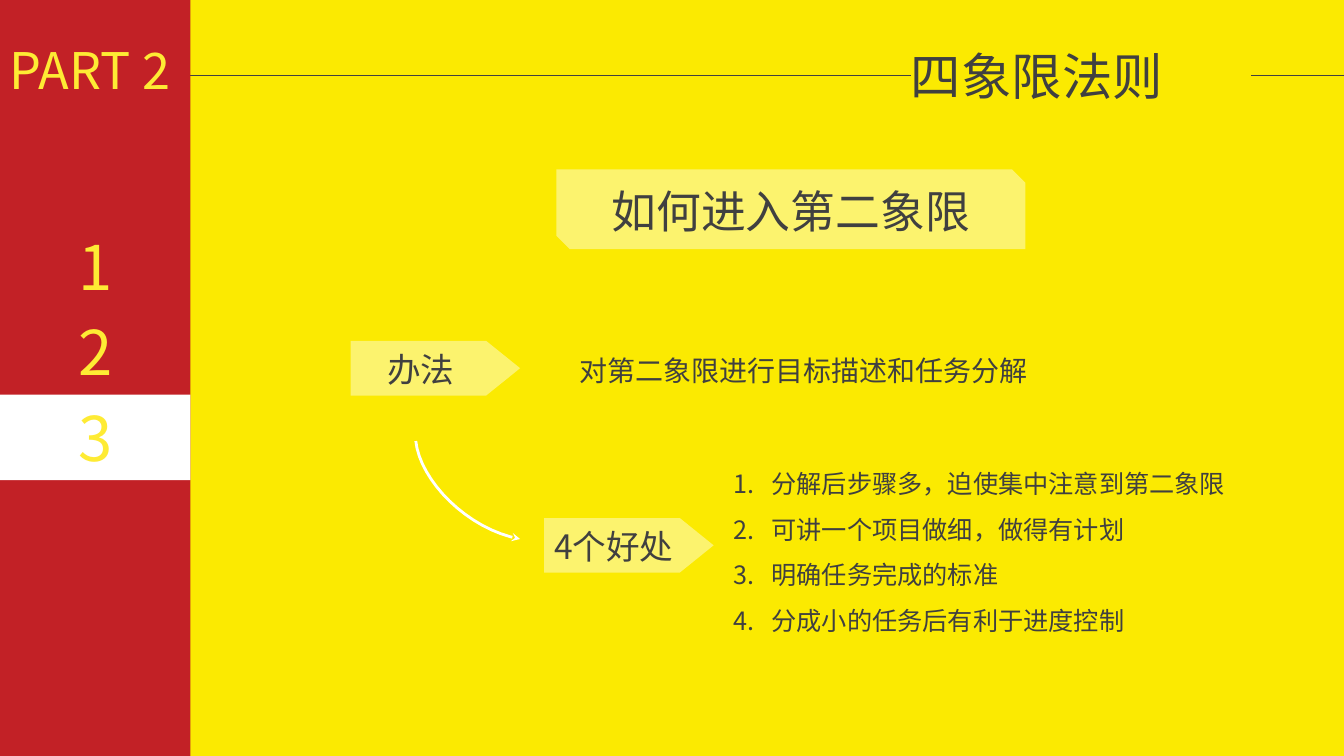
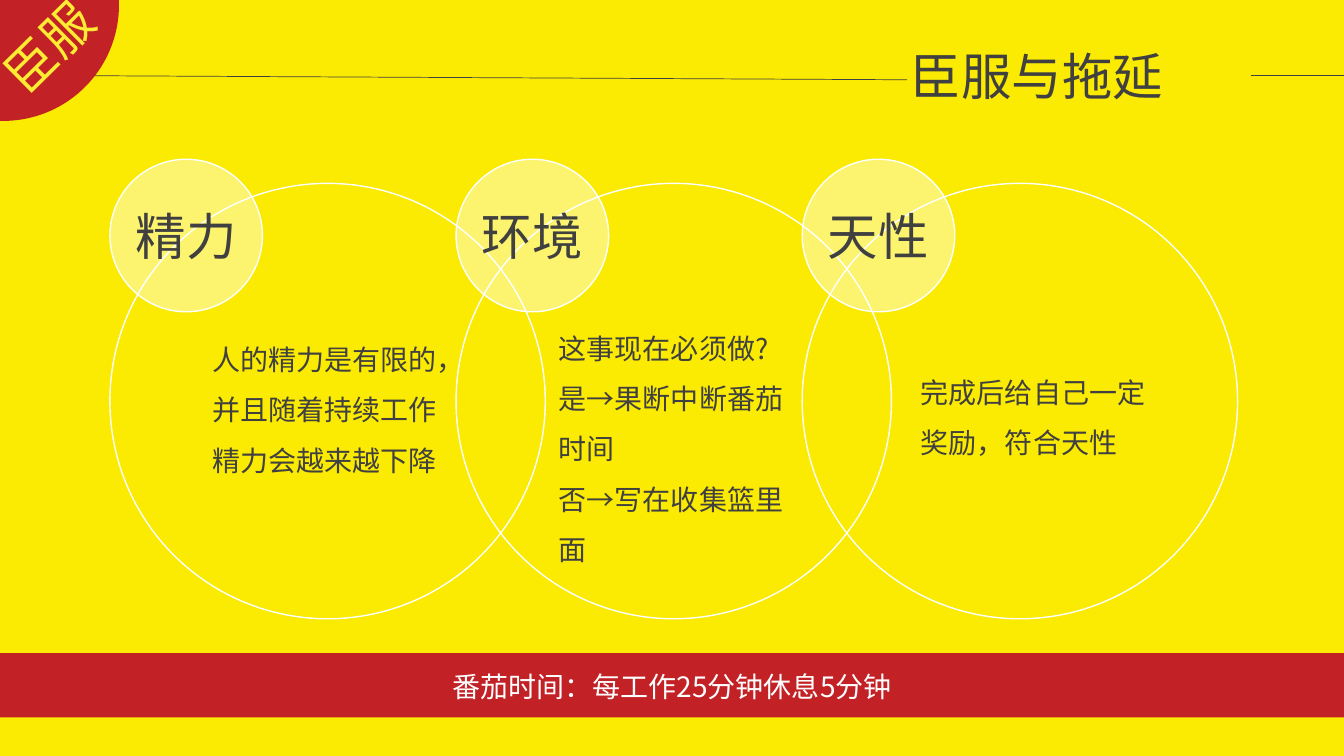
from dataclasses import dataclass

import lxml.etree
import pptx
import pptx.dml.color
import pptx.enum.shapes
import pptx.enum.text
import pptx.oxml.ns
import pptx.util

Pt = pptx.util.Pt
SHAPE = pptx.enum.shapes.MSO_SHAPE
ALIGN = pptx.enum.text.PP_ALIGN


@dataclass(frozen=True)
class Theme:
    """Colours, font and type sizes shared by the slides."""

    yellow: str = "FBEA01"
    lemon: str = "FEEB34"
    red: str = "C22126"
    white: str = "FFFFFF"
    ink: str = "404040"
    font: str = "Noto Sans CJK SC"
    veil: int = 43
    number: int = 44
    title: int = 36
    heading: int = 32
    label: int = 24
    body: int = 20
    points: int = 18


THEME = Theme()
WIDTH, HEIGHT = 960, 540
RULE_Y = 54


def rgb(code):
    """Turn a hex code into a colour."""
    return pptx.dml.color.RGBColor.from_string(code)


def assign(target, values):
    """Set each named attribute on the target."""
    for name, value in values.items():
        setattr(target, name, value)


def child(parent, tag, **attributes):
    """Append a DrawingML element to the parent."""
    return lxml.etree.SubElement(parent, pptx.oxml.ns.qn(tag), attributes)


def write(frame, lines, size, color, align=ALIGN.LEFT, spacing=1.0, numbered=False):
    """Fill a text frame with one paragraph per line."""
    assign(frame, {"word_wrap": True, "vertical_anchor": pptx.enum.text.MSO_ANCHOR.TOP})
    for index, line in enumerate(lines):
        paragraph = frame.add_paragraph() if index else frame.paragraphs[0]
        if numbered:
            properties = paragraph._p.get_or_add_pPr()
            properties.set("marL", str(Pt(27)))
            properties.set("indent", str(-Pt(27)))
            child(properties, "a:buFont", typeface=THEME.font)
            child(properties, "a:buAutoNum", type="arabicPeriod")
        assign(paragraph, {"alignment": align, "line_spacing": spacing})
        run = paragraph.add_run()
        run.text = line
        assign(run.font, {"size": Pt(size), "name": THEME.font})
        run.font.color.rgb = rgb(color)
        child(run.font._element, "a:ea", typeface=THEME.font)


def text(slide, box, lines, size, color=THEME.ink, **style):
    """Place a text box and write its lines."""
    caption = slide.shapes.add_textbox(*map(Pt, box))
    write(caption.text_frame, lines, size, color, **style)
    return caption


def shape(slide, kind, box, fill=None, opacity=None, outline=None):
    """Place a flat preset shape."""
    figure = slide.shapes.add_shape(kind, *map(Pt, box))
    figure.shadow.inherit = False
    if fill:
        figure.fill.solid()
        figure.fill.fore_color.rgb = rgb(fill)
    else:
        figure.fill.background()
    if opacity:
        tint = figure.element.spPr.find(".//" + pptx.oxml.ns.qn("a:srgbClr"))
        child(tint, "a:alpha", val=str(opacity * 1000))
    if outline:
        assign(figure.line, {"width": Pt(1)})
        figure.line.color.rgb = rgb(outline)
    else:
        figure.line.fill.background()
    return figure


def rule(slide, start, end):
    """Draw a thin line between two points."""
    line = slide.shapes.add_connector(
        pptx.enum.shapes.MSO_CONNECTOR.STRAIGHT, *map(Pt, (*start, *end)))
    line.line.width = Pt(0.5)
    line.line.color.rgb = rgb(THEME.ink)
    child(line.element.spPr, "a:effectLst")


def titled_slide(deck, title, start, end):
    """Add a yellow slide with its title between two rules."""
    slide = deck.slides.add_slide(deck.slide_layouts[6])
    slide.background.fill.solid()
    slide.background.fill.fore_color.rgb = rgb(THEME.yellow)
    rule(slide, start, end)
    rule(slide, (893.5, RULE_Y), (WIDTH, RULE_Y))
    text(slide, (643.5, 28.8, 250, 51), [title], THEME.title)
    return slide


def sidebar(slide, box, part, numbers, current):
    """Draw the red column with its part name and numbers."""
    left, top, width, height = box
    shape(slide, SHAPE.RECTANGLE, box, THEME.red)
    text(slide, (left, top + 24.5, width + 34, 51), [part], THEME.title, THEME.lemon)
    step = 61
    for index, number in enumerate(numbers):
        cell = (left, top + 160 + index * step, width, step)
        style = {"size": THEME.number, "color": THEME.lemon, "align": ALIGN.CENTER}
        if number == current:
            marker = shape(slide, SHAPE.RECTANGLE, cell, THEME.white)
            write(marker.text_frame, [number], **style)
        else:
            text(slide, cell, [number], **style)


def heading(slide, box, line):
    """Draw the snipped panel with a centred heading."""
    left, top, width, height = box
    shape(slide, SHAPE.SNIP_2_DIAG_RECTANGLE, box, THEME.white, THEME.veil)
    text(slide, (left, top + 6.5, width, 46), [line], THEME.heading, align=ALIGN.CENTER)


def tag(slide, box, line, indent):
    """Draw a tag pointing right with its label."""
    left, top, width, height = box
    shift = (width - height) / 2
    pointer = shape(slide, SHAPE.FLOWCHART_OFFPAGE_CONNECTOR,
                    (left + shift, top - shift, height, width), THEME.white, THEME.veil)
    pointer.rotation = 270
    text(slide, (left + indent, top + 2.2, width, 36.5), [line], THEME.label)


def curved_arrow(slide, box):
    """Sweep an arrow from the top left to the bottom right of the box."""
    left, top, width, height = box
    controls = ((0, 0), (0.04, 0.4), (0.49, 0.9), (1, 1))
    steps = 16
    points = []
    for step in range(steps + 1):
        t = step / steps
        weights = ((1 - t) ** 3, 3 * t * (1 - t) ** 2, 3 * t * t * (1 - t), t ** 3)
        x, y = (sum(w * c[axis] for w, c in zip(weights, controls)) for axis in (0, 1))
        points.append((Pt(left + x * width), Pt(top + y * height)))
    builder = slide.shapes.build_freeform(*points[0])
    builder.add_line_segments(points[1:], close=False)
    arrow = builder.convert_to_shape()
    arrow.shadow.inherit = False
    arrow.fill.background()
    arrow.line.width = Pt(2)
    arrow.line.color.rgb = rgb(THEME.white)
    child(arrow.line._get_or_add_ln(), "a:tailEnd", type="stealth")


def corner_badge(slide, box, line):
    """Draw the red disc in the corner with slanted text."""
    shape(slide, SHAPE.OVAL, box, THEME.red)
    label = text(slide, (-17.3, 7.9, 104.4, 51), [line], THEME.title, THEME.lemon,
                 align=ALIGN.CENTER)
    label.rotation = 315.4


def ring(slide, box):
    """Outline a large circle."""
    shape(slide, SHAPE.OVAL, box, outline=THEME.white)


def ring_content(slide, box, name, lines, inset, drop):
    """Place the name disc and the body text of a ring."""
    left, top, width, height = box
    disc = 109
    shape(slide, SHAPE.OVAL, (left, top - 17.25, disc, disc),
          THEME.white, THEME.veil, THEME.white)
    text(slide, (left + 11.3, top + 12.3, 86.4, 51), [name], THEME.title)
    text(slide, (left + inset, top + drop, 178.5, 148), lines, THEME.body, spacing=1.5)


def bottom_band(slide, box, line):
    """Draw the red band with a centred line."""
    left, top, width, height = box
    shape(slide, SHAPE.RECTANGLE, box, THEME.red)
    text(slide, (left, top + 8, width, 31.5), [line], THEME.body, THEME.white,
         align=ALIGN.CENTER)


def quadrant_slide(deck):
    """Build the slide on entering the second quadrant."""
    slide = titled_slide(deck, "四象限法则", (0, RULE_Y), (651, RULE_Y))
    sidebar(slide, (0, 0, 136, HEIGHT), "PART 2", "123", "3")
    heading(slide, (397.5, 121, 335, 57), "如何进入第二象限")
    tag(slide, (250.5, 243.5, 121, 39), "办法", 19)
    text(slide, (188, 244, 772, 34), ["对第二象限进行目标描述和任务分解"], THEME.body,
         align=ALIGN.CENTER, spacing=1.2)
    curved_arrow(slide, (297, 315, 74.5, 70))
    tag(slide, (388.75, 370, 121, 39), "4个好处", 0)
    benefits = [
        "分解后步骤多，迫使集中注意到第二象限",
        "可讲一个项目做细，做得有计划",
        "明确任务完成的标准",
        "分成小的任务后有利于进度控制",
    ]
    text(slide, (517, 320.5, 366.5, 138), benefits, THEME.points,
         align=ALIGN.JUSTIFY, spacing=1.5, numbered=True)


def surrender_slide(deck):
    """Build the slide on surrender and delay."""
    slide = titled_slide(deck, "臣服与拖延", (48, RULE_Y), (648, 57))
    bottom_band(slide, (0, 466.5, WIDTH, 46), "番茄时间：每工作25分钟休息5分钟")
    corner_badge(slide, (-80.6, -79.2, 165.6, 165.6), "臣服")
    causes = [
        ("精力", ["人的精力是有限的，并且随着持续工作精力会越来越下降"], 66.3, 98),
        ("环境", ["这事现在必须做?", "是→果断中断番茄时间", "否→写在收集篮里面"], 66.3, 90),
        ("天性", ["完成后给自己一定奖励，符合天性"], 77.7, 121.7),
    ]
    boxes = [(78.5 + index * 247.25, 131, 311, 311) for index in range(len(causes))]
    for box in boxes:
        ring(slide, box)
    for box, cause in zip(boxes, causes):
        ring_content(slide, box, *cause)


def main():
    """Build and save the deck."""
    deck = pptx.Presentation()
    assign(deck, {"slide_width": Pt(WIDTH), "slide_height": Pt(HEIGHT)})
    quadrant_slide(deck)
    surrender_slide(deck)
    deck.save("out.pptx")


if __name__ == "__main__":
    main()
